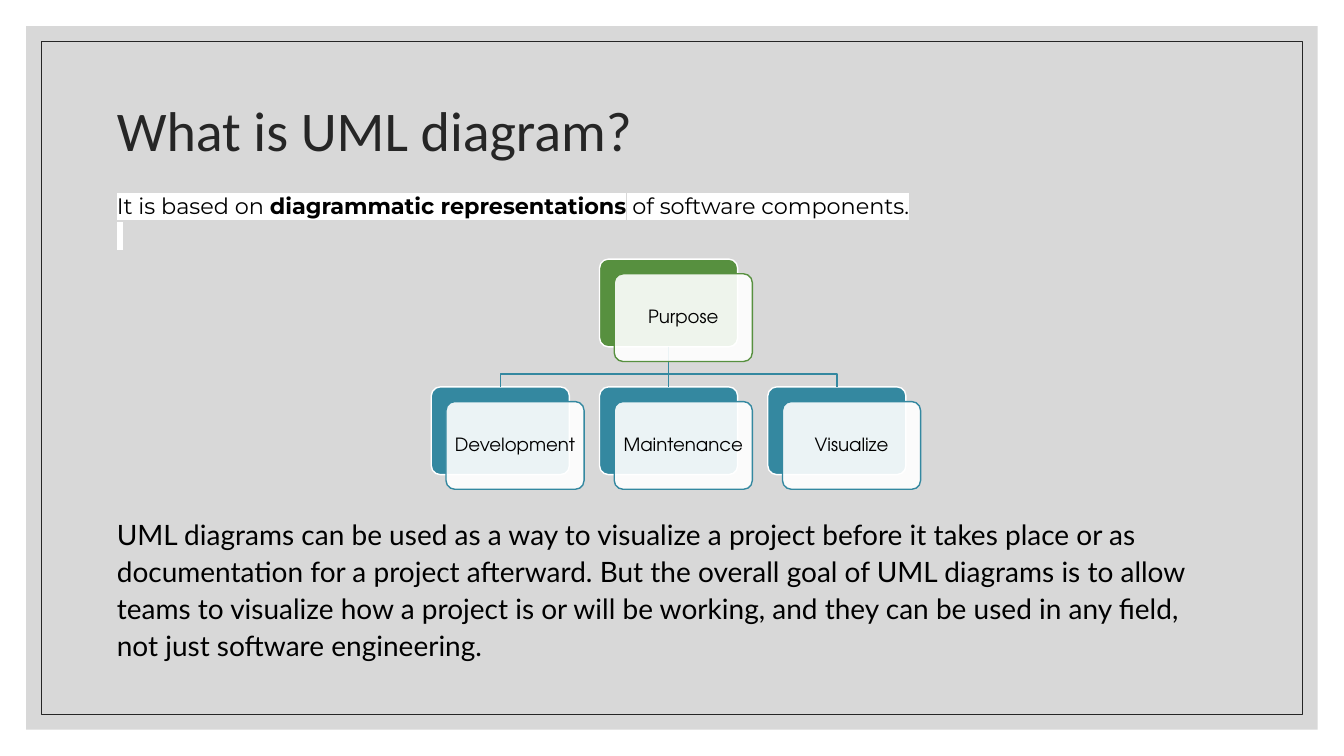
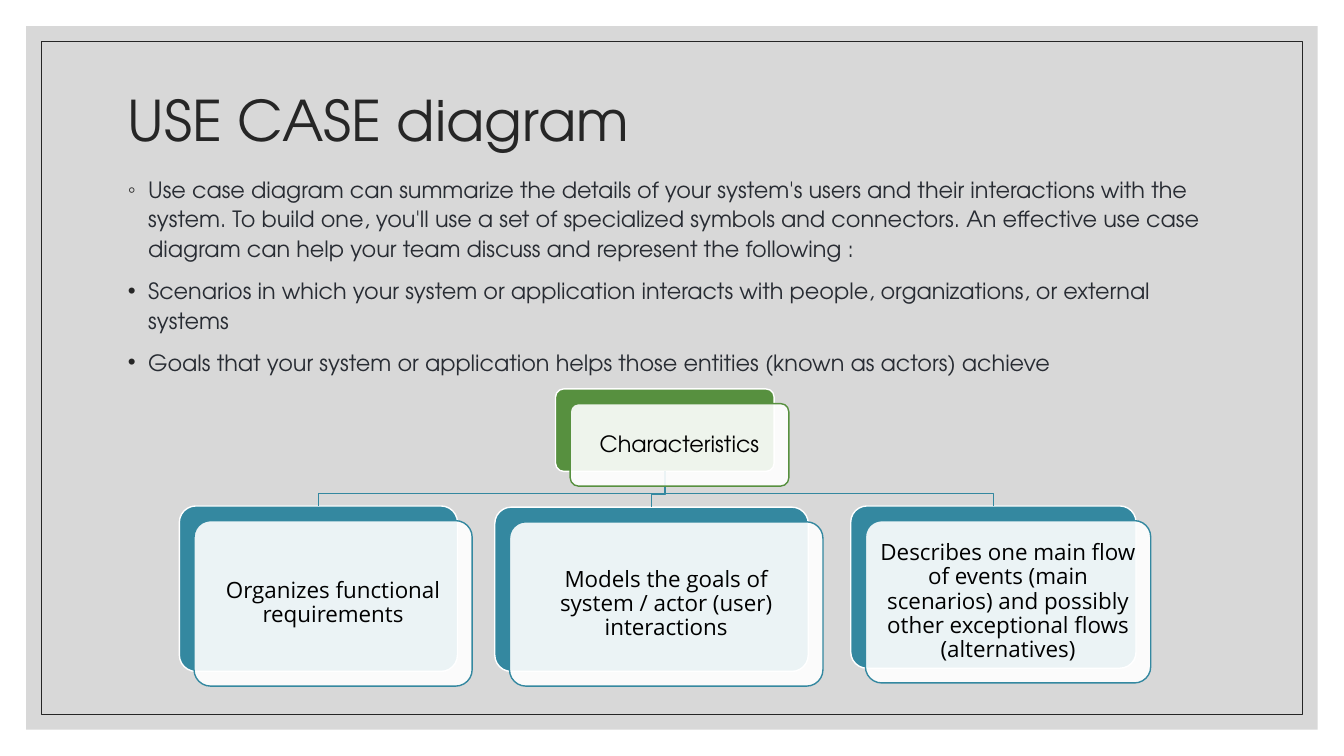
from dataclasses import dataclass

from lxml.etree import SubElement
from pptx import Presentation
from pptx.dml.color import RGBColor
from pptx.enum.shapes import MSO_CONNECTOR as Connector, MSO_SHAPE as Preset
from pptx.enum.text import MSO_ANCHOR as Anchor, MSO_AUTO_SIZE as AutoSize, PP_ALIGN as Align
from pptx.oxml.ns import qn
from pptx.util import Cm, Pt

WHITE = RGBColor(0xFF, 0xFF, 0xFF)
BLACK = RGBColor(0x00, 0x00, 0x00)
GRAY = RGBColor(0xBF, 0xBF, 0xBF)
CHARCOAL = RGBColor(0x26, 0x26, 0x26)
SLATE = RGBColor(0x28, 0x2C, 0x33)
GREEN = RGBColor(0x57, 0x90, 0x3F)
TEAL = RGBColor(0x34, 0x88, 0xA0)

DISPLAY = "TeX Gyre Adventor"
WIDTH, HEIGHT = 33.87, 19.05
CARD_OFFSET = Cm(0.37)
BEND_GAP = Cm(0.32)


@dataclass
class Node:
    text: str
    box: tuple
    font: str = DISPLAY
    color: RGBColor = TEAL


class Deck:
    def __init__(self):
        self.presentation = Presentation()
        self.presentation.slide_width = Cm(WIDTH)
        self.presentation.slide_height = Cm(HEIGHT)
        self.slide = None

    def add_slide(self):
        is_first = self.slide is None
        layout = self.presentation.slide_layouts[1]
        self.slide = self.presentation.slides.add_slide(layout)
        if is_first:
            self.add_master_frame()

    def add_master_frame(self):
        panel = self.preset(Preset.RECTANGLE, self.inset_box(0.66), GRAY, opacity=60)
        border = self.preset(Preset.RECTANGLE, self.inset_box(1.04), line=CHARCOAL, weight=0.5)
        tree = self.presentation.slide_master.shapes.element
        for index, shape in enumerate((panel, border)):
            shape.element.nvSpPr.cNvPr.set("id", str(20 + index))
            tree.insert(2 + index, shape.element)

    @staticmethod
    def inset_box(margin):
        return [Cm(v) for v in (margin, margin, WIDTH - 2 * margin, HEIGHT - 2 * margin)]

    @staticmethod
    def style(run, size, font, color, bold=None, highlight=None):
        run.font.size = Pt(size)
        run.font.color.rgb = color
        run.font.name = font
        run.font.bold = bold
        if highlight is not None:
            properties = run._r.get_or_add_rPr()
            mark = SubElement(properties, qn("a:highlight"))
            SubElement(mark, qn("a:srgbClr"), val=str(highlight))
            properties.find(qn("a:solidFill")).addnext(mark)

    @staticmethod
    def set_bullet(paragraph, character=None):
        properties = paragraph._p.get_or_add_pPr()
        indent = Cm(0.51) if character else 0
        properties.set("marL", str(indent))
        properties.set("indent", str(-indent))
        if character:
            color = SubElement(properties, qn("a:buClr"))
            SubElement(color, qn("a:srgbClr"), val=str(CHARCOAL))
            SubElement(properties, qn("a:buChar"), char=character)
        else:
            SubElement(properties, qn("a:buNone"))

    def preset(self, kind, box, fill=None, line=None, weight=1, opacity=100):
        shape = self.slide.shapes.add_shape(kind, *box)
        shape.shadow.inherit = False
        if fill is None:
            shape.fill.background()
        else:
            shape.fill.solid()
            shape.fill.fore_color.rgb = fill
            if opacity < 100:
                color = shape.element.spPr.find(qn("a:solidFill"))[0]
                SubElement(color, qn("a:alpha"), val=str(opacity * 1000))
        if line is None:
            shape.line.fill.background()
        else:
            shape.line.color.rgb = line
            shape.line.width = Pt(weight)
        return shape

    def place(self, placeholder, box, anchor):
        placeholder.left, placeholder.top, placeholder.width, placeholder.height = map(Cm, box)
        frame = placeholder.text_frame
        frame.word_wrap = True
        frame.auto_size = AutoSize.NONE
        frame.vertical_anchor = anchor
        return frame

    def title(self, text, box, font):
        frame = self.place(self.slide.shapes.title, box, Anchor.MIDDLE)
        frame.text = text
        paragraph = frame.paragraphs[0]
        paragraph.alignment = Align.LEFT
        paragraph.line_spacing = 0.9
        self.style(paragraph.runs[0], 40, font, CHARCOAL)

    def body(self, box, count):
        frame = self.place(self.slide.placeholders[1], box, Anchor.TOP)
        for _ in range(count - 1):
            frame.add_paragraph()
        for paragraph in frame.paragraphs:
            paragraph.line_spacing = 1.1
            paragraph.space_before = paragraph.space_after = Pt(0)
        return frame.paragraphs

    def card_back(self, node):
        back = self.preset(Preset.ROUNDED_RECTANGLE, map(Cm, node.box), node.color, WHITE)
        back.adjustments[0] = 0.1
        return back

    def card_front(self, node, back, size, margin):
        box = (back.left + CARD_OFFSET, back.top + CARD_OFFSET, back.width, back.height)
        front = self.preset(Preset.ROUNDED_RECTANGLE, box, WHITE, node.color, opacity=90)
        front.adjustments[0] = 0.1
        frame = front.text_frame
        frame.word_wrap = True
        frame.vertical_anchor = Anchor.MIDDLE
        frame.margin_left = frame.margin_right = Cm(margin)
        frame.margin_top = frame.margin_bottom = Cm(margin)
        frame.text = node.text
        paragraph = frame.paragraphs[0]
        paragraph.alignment = Align.CENTER
        paragraph.line_spacing = 0.9
        self.style(paragraph.runs[0], size, node.font, BLACK)

    def link(self, parent, child):
        start_x, start_y = parent.left + parent.width // 2, parent.top + parent.height
        end_x, end_y = child.left + child.width // 2, child.top
        shapes = self.slide.shapes
        if start_x == end_x:
            line = shapes.add_connector(Connector.STRAIGHT, start_x, start_y, end_x, end_y)
            line.begin_connect(parent, 2)
            line.end_connect(child, 0)
            SubElement(line.element.spPr, qn("a:effectLst"))
        else:
            bend_y = end_y - BEND_GAP
            builder = shapes.build_freeform(start_x, start_y)
            corners = [(start_x, bend_y), (end_x, bend_y), (end_x, end_y)]
            builder.add_line_segments(corners, close=False)
            line = builder.convert_to_shape()
            line.fill.background()
            line.shadow.inherit = False
        line.line.color.rgb = TEAL
        line.line.width = Pt(1)

    def hierarchy(self, nodes, size, margin):
        backs = [self.card_back(node) for node in nodes]
        for child in backs[1:]:
            self.link(backs[0], child)
        for node, back in zip(nodes, backs):
            self.card_front(node, back, size, margin)


def build_uml_slide(deck):
    deck.add_slide()
    deck.title("What is UML diagram?", (2.69, 1.78, 28.22, 3.18), "Calibri")
    intro, spacer, summary = deck.body((2.69, 4.65, 27.94, 13), 3)
    pieces = (
        (intro, "It is based on ", False),
        (intro, "diagrammatic representations", True),
        (intro, " of software components.", False),
        (spacer, " ", False),
    )
    for paragraph, text, bold in pieces:
        run = paragraph.add_run()
        run.text = text
        deck.style(run, 16, "Montserrat", BLACK, bold, WHITE)
    summary.text = (
        "UML diagrams can be used as a way to visualize a project before it takes place or as "
        "documentation for a project afterward. But the overall goal of UML diagrams is to allow "
        "teams to visualize how a project is or will be working, and they can be used in any "
        "field, not just software engineering."
    )
    summary.space_before = Pt(190)
    deck.style(summary.runs[0], 20, "Lato", BLACK)
    for paragraph in (intro, spacer, summary):
        deck.set_bullet(paragraph)

    left, pitch, width, height = 10.87, 4.24, 3.48, 2.21
    nodes = [Node("Purpose", (left + pitch, 6.53, width, height), color=GREEN)]
    for column, text in enumerate(("Development", "Maintenance", "Visualize")):
        nodes.append(Node(text, (left + column * pitch, 9.75, width, height)))
    deck.hierarchy(nodes, 13, 0.13)


def build_use_case_slide(deck):
    deck.add_slide()
    deck.title("USE CASE diagram", (2.97, 1.78, 27.94, 2.64), DISPLAY)
    items = (
        ("◦", "Use case diagram can summarize the details of your system's users and their "
              "interactions with the system. To build one, you'll use a set of specialized "
              "symbols and connectors. An effective use case diagram can help your team "
              "discuss and represent the following :"),
        ("•", "Scenarios in which your system or application interacts with people, "
              "organizations, or external systems"),
        ("•", "Goals that your system or application helps those entities (known as actors) "
              "achieve"),
    )
    paragraphs = deck.body((2.97, 4.24, 27.94, 12.29), len(items))
    for paragraph, (bullet, text) in zip(paragraphs, items):
        paragraph.text = text
        paragraph.space_before = Pt(9)
        deck.style(paragraph.runs[0], 16, DISPLAY, SLATE)
        deck.set_bullet(paragraph, bullet)

    deck.hierarchy([
        Node("Characteristics", (14, 9.8, 5.51, 2.08), color=GREEN),
        Node("Organizes functional requirements", (4.52, 12.75, 7.01, 4.17), "Open Sans"),
        Node("Models the goals of system / actor (user) interactions",
             (12.47, 12.78, 7.9, 4.14), "Open Sans"),
        Node("Describes one main flow of events (main scenarios) and possibly other "
             "exceptional flows (alternatives)", (21.44, 12.75, 7.19, 4.09), "Open Sans"),
    ], 16, 0.18)


def main():
    deck = Deck()
    build_uml_slide(deck)
    build_use_case_slide(deck)
    deck.presentation.save("out.pptx")


if __name__ == "__main__":
    main()
